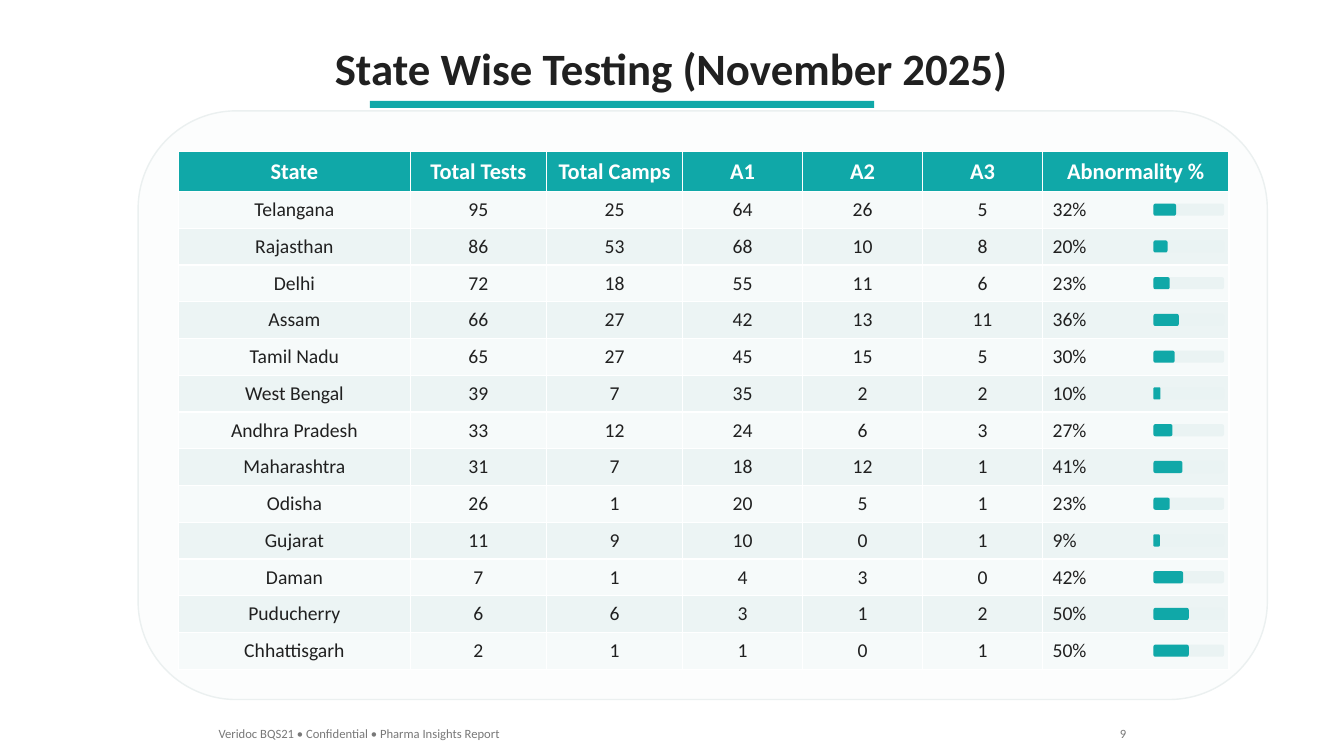
import pptx
import pptx.dml.color
import pptx.enum.shapes
import pptx.enum.text
import pptx.util

Inches = pptx.util.Inches
Shape = pptx.enum.shapes.MSO_SHAPE
Align = pptx.enum.text.PP_ALIGN

TEAL, DARK, GREY, WHITE = "10A8A8", "202020", "787878", "FFFFFF"
BANDS = ["F6FAFA", "ECF4F4"]

LEFT, TOP, HEAD = 1.77, 1.5, 0.4
STEP = 4.74 / 13  # height of one state row
COLS = [2.3, 1.35, 1.35, 1.19, 1.19, 1.19, 1.85]
HEADS = ["State", "Total Tests", "Total Camps", "A1", "A2", "A3", "Abnormality %"]
STATES = [
    ("Telangana", 95, 25, 64, 26, 5, 32),
    ("Rajasthan", 86, 53, 68, 10, 8, 20),
    ("Delhi", 72, 18, 55, 11, 6, 23),
    ("Assam", 66, 27, 42, 13, 11, 36),
    ("Tamil Nadu", 65, 27, 45, 15, 5, 30),
    ("West Bengal", 39, 7, 35, 2, 2, 10),
    ("Andhra Pradesh", 33, 12, 24, 6, 3, 27),
    ("Maharashtra", 31, 7, 18, 12, 1, 41),
    ("Odisha", 26, 1, 20, 5, 1, 23),
    ("Gujarat", 11, 9, 10, 0, 1, 9),
    ("Daman", 7, 1, 4, 3, 0, 42),
    ("Puducherry", 6, 6, 3, 1, 2, 50),
    ("Chhattisgarh", 2, 1, 1, 0, 1, 50),
]


def color(code):
    return pptx.dml.color.RGBColor.from_string(code)


def style(para, text, size, code, align, bold=False):
    para.text = text
    para.alignment = align
    font = para.font
    font.name = "Calibri"
    font.size = pptx.util.Pt(size)
    font.bold = bold
    font.color.rgb = color(code)


def add_text(slide, box, text, size, code, align, bold=False):
    frame = slide.shapes.add_textbox(*map(Inches, box)).text_frame
    frame.word_wrap = False
    frame.auto_size = pptx.enum.text.MSO_AUTO_SIZE.SHAPE_TO_FIT_TEXT
    style(frame.paragraphs[0], text, size, code, align, bold)


def add_block(slide, kind, box, fill, line=None):
    shape = slide.shapes.add_shape(kind, *map(Inches, box))
    shape.shadow.inherit = False
    shape.fill.solid()
    shape.fill.fore_color.rgb = color(fill)
    if line:
        shape.line.color.rgb = color(line)
        shape.line.width = pptx.util.Pt(1)
    else:
        shape.line.fill.background()


def fill_cell(cell, fill, text, size, code, align, bold=False):
    cell.fill.solid()
    cell.fill.fore_color.rgb = color(fill)
    cell.vertical_anchor = pptx.enum.text.MSO_ANCHOR.MIDDLE
    style(cell.text_frame.paragraphs[0], text, size, code, align, bold)


def add_grid(slide):
    box = (LEFT, TOP, sum(COLS), HEAD + STEP * len(STATES))
    grid = slide.shapes.add_table(
        len(STATES) + 1, len(COLS), *map(Inches, box)).table
    for col, width in zip(grid.columns, COLS):
        col.width = Inches(width)
    for row in grid.rows:
        row.height = Inches(STEP)
    grid.rows[0].height = Inches(HEAD)

    for c, head in enumerate(HEADS):
        fill_cell(grid.cell(0, c), TEAL, head, 16, WHITE, Align.CENTER, True)
    for r, (*facts, rate) in enumerate(STATES):
        band = BANDS[r % 2]
        for c, fact in enumerate(facts):
            fill_cell(grid.cell(r + 1, c), band, str(fact), 14, DARK, Align.CENTER)
        fill_cell(grid.cell(r + 1, len(facts)), band, f"{rate}%", 14, DARK, Align.LEFT)


def add_bars(slide):
    full = 0.7
    for r, state in enumerate(STATES):
        top = TOP + HEAD + STEP * r + 0.12
        for width, fill in [(full, "EAF3F3"), (full * state[-1] / 100, TEAL)]:
            add_block(slide, Shape.ROUNDED_RECTANGLE, (11.44, top, width, 0.12), fill)


def main():
    deck = pptx.Presentation()
    deck.slide_width, deck.slide_height = Inches(13.33), Inches(7.5)
    slide = deck.slides.add_slide(deck.slide_layouts[6])

    # Title and its rule
    add_text(slide, (3.19, 0.35, 6.94, 0.64), "State Wise Testing (November 2025)",
             32, DARK, Align.CENTER, True)
    add_block(slide, Shape.RECTANGLE, (3.67, 1, 5, 0.07), TEAL)

    # Card with the table and rate bars
    add_block(slide, Shape.ROUNDED_RECTANGLE, (1.37, 1.1, 11.2, 5.84), "FCFDFD", "EBF0F0")
    add_grid(slide)
    add_bars(slide)

    # Footer
    add_text(slide, (2.07, 7.15, 3.05, 0.25),
             "Veridoc BQS21 • Confidential • Pharma Insights Report", 9, GREY, Align.LEFT)
    add_text(slide, (11, 7.15, 0.27, 0.25), "9", 9, GREY, Align.RIGHT)

    deck.save("out.pptx")


if __name__ == "__main__":
    main()
